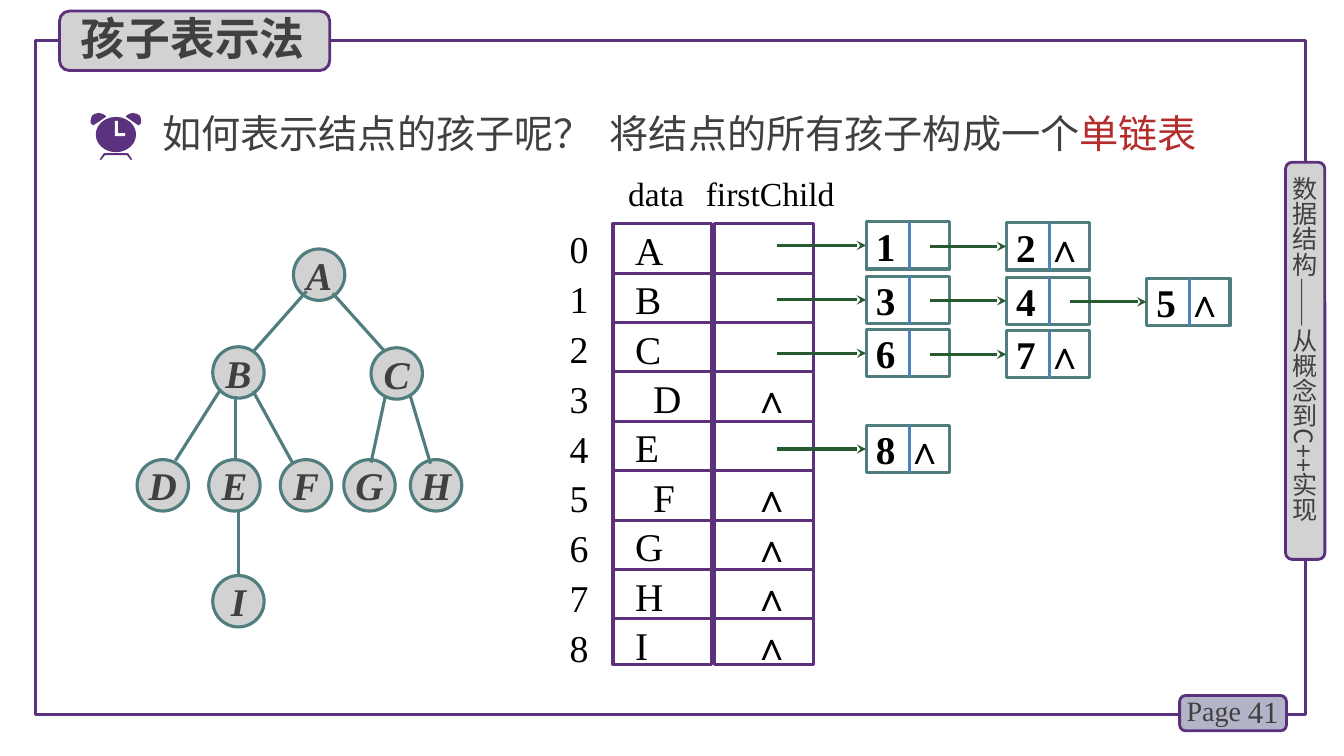
from lxml import etree
from pptx import Presentation
from pptx.dml.color import RGBColor
from pptx.enum.shapes import MSO_CONNECTOR, MSO_SHAPE
from pptx.enum.text import MSO_ANCHOR, MSO_AUTO_SIZE, PP_ALIGN
from pptx.oxml.ns import qn
from pptx.util import Inches, Pt

RECTANGLE = MSO_SHAPE.RECTANGLE
ROUNDED = MSO_SHAPE.ROUNDED_RECTANGLE
OVAL = MSO_SHAPE.OVAL
STRAIGHT = MSO_CONNECTOR.STRAIGHT
TOP, MIDDLE = MSO_ANCHOR.TOP, MSO_ANCHOR.MIDDLE
LEFT, CENTER, RIGHT = PP_ALIGN.LEFT, PP_ALIGN.CENTER, PP_ALIGN.RIGHT
LEFT_SIDE = 1

PURPLE = RGBColor(0x5A, 0x32, 0x7D)
VIOLET = RGBColor(0x5C, 0x30, 0x7D)
LAVENDER = RGBColor(0xB4, 0xB4, 0xC8)
GRAY = RGBColor(0xD2, 0xD2, 0xD2)
DARK = RGBColor(0x40, 0x40, 0x40)
TEAL = RGBColor(0x50, 0x7D, 0x7D)
GREEN = RGBColor(0x28, 0x5A, 0x32)
BLUE = RGBColor(0x4F, 0x81, 0xBD)
RED = RGBColor(0xB4, 0x2D, 0x2D)
BLACK = RGBColor(0, 0, 0)
WHITE = RGBColor(0xFF, 0xFF, 0xFF)

CHINESE = "Noto Sans CJK SC"
ROMAN = "Times New Roman"

TABLE_TOP, TABLE_HEIGHT, ROW_HEIGHT = 2.22, 4.37, 0.49
DATA_LEFT, CHILD_LEFT, COLUMN_WIDTH = 6.08, 7.09, 0.98
LETTERS = "ABCDEFGHI"
INDENTED_LETTERS = "DF"
EMPTY_ROWS = [3, 5, 6, 7, 8]

TREE_NODES = {
    "A": (2.91, 2.47), "B": (2.11, 3.44), "C": (3.68, 3.45),
    "D": (1.36, 4.56), "E": (2.07, 4.56), "F": (2.78, 4.56),
    "G": (3.41, 4.56), "H": (4.07, 4.56), "I": (2.11, 5.71),
}
TREE_EDGES = [
    (3.04, 2.89, 2.51, 3.49), (3.3, 2.91, 3.82, 3.49),
    (2.19, 3.86, 1.74, 4.57), (2.34, 3.93, 2.34, 4.57),
    (2.51, 3.88, 2.9, 4.59), (3.82, 3.94, 3.68, 4.59),
    (4.07, 3.93, 4.27, 4.6), (2.37, 5.08, 2.37, 5.72),
]
CHILD_LISTS = [
    (2.2, ["1", "2 ∧"]), (2.74, ["3", "4", "5 ∧"]),
    (3.27, ["6", "7 ∧"]), (4.22, ["8 ∧"]),
]

CLOCK_EAR = [(0.98, 1.12), (0.94, 1.13), (0.91, 1.15), (0.9, 1.19), (0.9, 1.22),
             (0.92, 1.24), (0.93, 1.24), (1.05, 1.16), (1.05, 1.15), (1.02, 1.13)]
CLOCK_STAND = [(0.99, 1.58), (1.03, 1.52), (1.27, 1.52), (1.31, 1.58),
               (1.3, 1.59), (1.26, 1.54), (1.04, 1.54), (1.0, 1.59)]
CLOCK_HANDS = [(1.14, 1.2), (1.17, 1.2), (1.17, 1.32),
               (1.24, 1.32), (1.24, 1.35), (1.14, 1.35)]


def write_text(shape, paragraphs, size=28, font=ROMAN, color=BLACK, bold=False,
               italic=False, align=LEFT, anchor=MIDDLE, inset=0.1, wrap=True,
               spacing=None, vertical=False):
    frame = shape.text_frame
    frame.auto_size = MSO_AUTO_SIZE.NONE
    frame.word_wrap = wrap
    frame.vertical_anchor = anchor
    frame.margin_left = frame.margin_right = Inches(inset)
    frame.margin_top = frame.margin_bottom = 0
    if isinstance(paragraphs, str):
        paragraphs = [[(paragraphs, color)]]
    for index, pieces in enumerate(paragraphs):
        paragraph = frame.paragraphs[0] if index == 0 else frame.add_paragraph()
        paragraph.alignment = align
        if spacing:
            paragraph.line_spacing = spacing
        for text, piece_color in pieces:
            run = paragraph.add_run()
            run.text = text
            run.font.size = Pt(size)
            run.font.name = font
            run.font.bold = bold
            run.font.italic = italic
            run.font.color.rgb = piece_color
    for properties in shape.element.iter(qn("a:rPr")):
        etree.SubElement(properties, qn("a:ea")).set("typeface", font)
    if vertical:
        shape.element.txBody.find(qn("a:bodyPr")).set("vert", "eaVert")


def add_text(slide, box, paragraphs, **text_format):
    shape = slide.shapes.add_textbox(*map(Inches, box))
    write_text(shape, paragraphs, **text_format)


def add_panel(slide, kind, box, fill=None, line=None, width=2.25):
    shape = slide.shapes.add_shape(kind, *map(Inches, box))
    shape.shadow.inherit = False
    if fill is None:
        shape.fill.background()
    else:
        shape.fill.solid()
        shape.fill.fore_color.rgb = fill
    if line is None:
        shape.line.fill.background()
    else:
        shape.line.color.rgb = line
        shape.line.width = Pt(width)
    return shape


def add_line(slide, ends, color, arrow=False):
    line = slide.shapes.add_connector(STRAIGHT, *map(Inches, ends))
    line.line.color.rgb = color
    line.line.width = Pt(2.25)
    properties = line.element.spPr
    if arrow:
        tail = etree.SubElement(properties.find(qn("a:ln")), qn("a:tailEnd"))
        tail.set("type", "stealth")
    etree.SubElement(properties, qn("a:effectLst"))
    return line


def add_outline(slide, points, color):
    builder = slide.shapes.build_freeform(*map(Inches, points[0]))
    builder.add_line_segments([tuple(map(Inches, point)) for point in points[1:]])
    shape = builder.convert_to_shape()
    shape.shadow.inherit = False
    shape.fill.solid()
    shape.fill.fore_color.rgb = color
    shape.line.fill.background()


def add_frame(slide):
    add_panel(slide, RECTANGLE, (0.35, 0.4, 12.6, 6.69), line=PURPLE)
    add_panel(slide, ROUNDED, (11.7, 6.9, 1.06, 0.35), LAVENDER, VIOLET, 2)
    add_text(slide, (12.07, 6.86, 0.71, 0.4), "41", size=22, color=DARK, align=RIGHT)
    add_text(slide, (11.67, 6.83, 0.78, 0.44), "Page", size=20, color=DARK)
    add_panel(slide, ROUNDED, (12.75, 1.61, 0.39, 3.94), GRAY, VIOLET, 2)
    add_text(slide, (12.79, 1.75, 0.3, 3.78), "数据结构——从概念到C++实现",
             size=18, font=CHINESE, color=DARK, inset=0, vertical=True)


def add_title(slide):
    add_panel(slide, ROUNDED, (0.59, 0.11, 2.68, 0.59), GRAY, VIOLET, 2)
    title = slide.shapes.title
    title.left, title.top, title.width, title.height = map(Inches, (0.7, 0.05, 2.5, 0.64))
    write_text(title, "孩子表示法", size=32, font=CHINESE, color=DARK, bold=True)
    title.element.getparent().append(title.element)


def add_clock(slide):
    add_outline(slide, CLOCK_STAND, PURPLE)
    add_outline(slide, CLOCK_EAR, PURPLE)
    add_outline(slide, [(2.3 - x, y) for x, y in CLOCK_EAR], PURPLE)
    add_panel(slide, OVAL, (0.95, 1.16, 0.4, 0.35), PURPLE)
    add_outline(slide, CLOCK_HANDS, WHITE)


def add_tree(slide):
    for letter, (left, top) in TREE_NODES.items():
        node = add_panel(slide, OVAL, (left, top, 0.51, 0.51), GRAY, TEAL)
        write_text(node, letter, color=DARK, bold=True, italic=True,
                   align=CENTER, inset=0, wrap=False)
    for ends in TREE_EDGES:
        add_line(slide, ends, TEAL)


def add_node_table(slide):
    add_text(slide, (6.23, 1.7, 0.65, 0.42), "data", size=24, inset=0, wrap=False)
    add_text(slide, (7, 1.7, 1.38, 0.42), "firstChild", size=24, inset=0, wrap=False)
    add_text(slide, (5.65, 2.19, 0.2, 4.68),
             [[(str(index), BLACK)] for index in range(len(LETTERS))],
             size=27, anchor=TOP, inset=0, spacing=Pt(35.7))
    for left in (DATA_LEFT, CHILD_LEFT):
        column = add_panel(slide, RECTANGLE, (left, TABLE_TOP, COLUMN_WIDTH, TABLE_HEIGHT),
                           line=VIOLET)
        if left == DATA_LEFT:
            write_text(column, [[(letter, BLACK)] for letter in LETTERS],
                       anchor=TOP, spacing=Pt(35.3))
            for letter, paragraph in zip(LETTERS, column.text_frame.paragraphs):
                margin = 0.3 if letter in INDENTED_LETTERS else 0.12
                properties = paragraph._p.get_or_add_pPr()
                properties.set("marL", str(Inches(margin)))
                properties.set("indent", "0")
        for row in range(1, len(LETTERS)):
            y = TABLE_TOP + row * ROW_HEIGHT
            add_line(slide, (left, y, left + COLUMN_WIDTH, y), VIOLET)
    for row in EMPTY_ROWS:
        top = TABLE_TOP + row * ROW_HEIGHT + 0.05
        add_text(slide, (7.37, top, 0.67, 0.42), "∧", bold=True)


def add_child_list(slide, top, labels):
    arrow_start = 7.71
    for index, label in enumerate(labels):
        left, node_top = 8.59 + 1.39 * index, top + 0.01 * index
        node = add_panel(slide, RECTANGLE, (left, node_top, 0.83, 0.47), line=TEAL)
        write_text(node, label, bold=True, wrap=False)
        add_line(slide, (left + 0.43, node_top, left + 0.43, node_top + 0.47), BLUE)
        middle = node_top + 0.235
        arrow = add_line(slide, (arrow_start, middle, left, middle), GREEN, arrow=True)
        arrow.end_connect(node, LEFT_SIDE)
        arrow_start = left + 0.63


def main():
    presentation = Presentation()
    presentation.slide_width, presentation.slide_height = Inches(13.33), Inches(7.5)
    slide = presentation.slides.add_slide(presentation.slide_layouts[5])
    add_frame(slide)
    add_title(slide)
    add_tree(slide)
    add_clock(slide)
    add_text(slide, (1.51, 1.03, 4.73, 0.57), "如何表示结点的孩子呢？",
             font=CHINESE, color=DARK, wrap=False)
    add_text(slide, (5.95, 1.03, 6.16, 0.57),
             [[("将结点的所有孩子构成一个", DARK), ("单链表", RED)]],
             font=CHINESE, wrap=False)
    add_node_table(slide)
    for top, labels in CHILD_LISTS:
        add_child_list(slide, top, labels)
    presentation.save("out.pptx")


if __name__ == "__main__":
    main()
